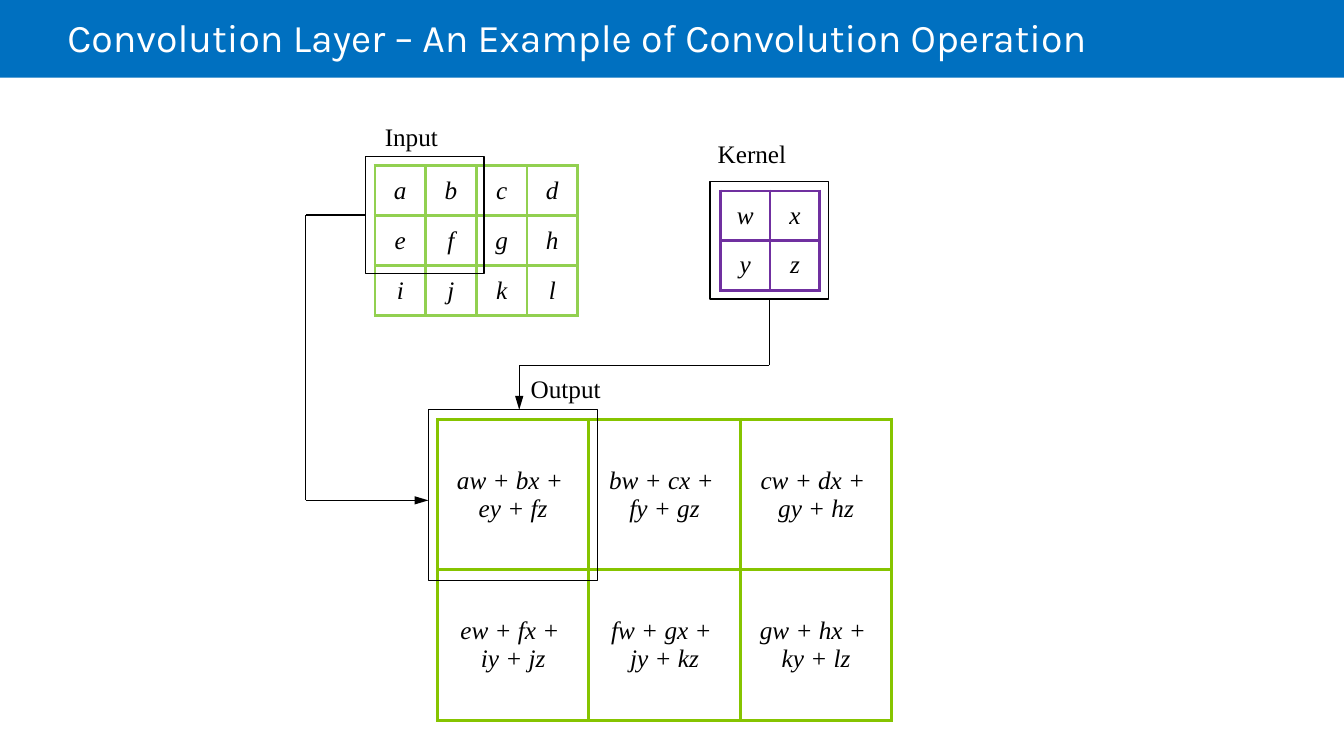
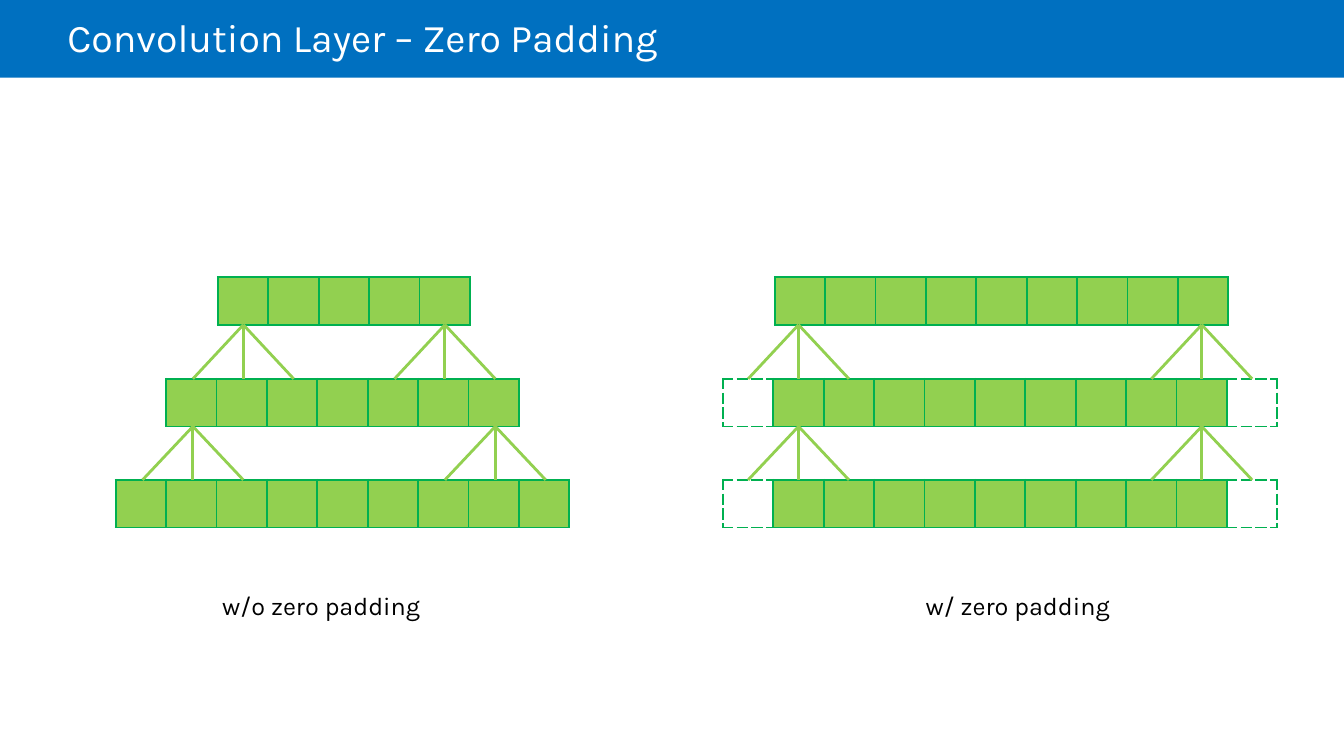
from dataclasses import dataclass
from pptx import Presentation
from pptx.dml.color import RGBColor
from pptx.enum.shapes import MSO_CONNECTOR, MSO_SHAPE
from pptx.enum.text import MSO_ANCHOR, MSO_AUTO_SIZE, PP_ALIGN
from pptx.oxml.ns import qn
from pptx.util import Pt
from lxml.etree import SubElement


@dataclass(frozen=True)
class Theme:
    band: str = "0070C0"
    white: str = "FFFFFF"
    black: str = "000000"
    light_green: str = "92D050"
    lime: str = "86C400"
    purple: str = "7030A0"
    green: str = "00B050"
    sans: str = "Karla"
    serif: str = "Times New Roman"
    title_size: int = 28
    text_size: int = 18


theme = Theme()


def write(text_frame, text, font=theme.serif, size=theme.text_size, color=theme.black,
          italic=False, align=PP_ALIGN.LEFT, line_spacing=None):
    for index, line in enumerate(text.split("\n")):
        paragraph = text_frame.add_paragraph() if index else text_frame.paragraphs[0]
        paragraph.alignment = align
        paragraph.line_spacing = line_spacing
        run = paragraph.add_run()
        run.text = line
        run.font.name = font
        run.font.size = Pt(size)
        run.font.italic = italic
        run.font.color.rgb = RGBColor.from_string(color)


def add_line(slide, start, end, color, width, arrow=False):
    connector = slide.shapes.add_connector(
        MSO_CONNECTOR.STRAIGHT, *[Pt(value) for value in (*start, *end)])
    connector.line.color.rgb = RGBColor.from_string(color)
    connector.line.width = Pt(width)
    if arrow:
        SubElement(connector.line._get_or_add_ln(), qn("a:tailEnd"),
                   type="triangle", w="med", len="lg")
    SubElement(connector.element.spPr, qn("a:effectLst"))
    return connector


presentation = Presentation()
presentation.slide_width, presentation.slide_height = Pt(960), Pt(540)

# Shared title style on the title-only layout
layout = presentation.slide_layouts[5]
title = layout.placeholders[0]
title.left, title.top, title.width, title.height = Pt(48.2), Pt(0), Pt(816.5), Pt(58.3)
title.text_frame.vertical_anchor = MSO_ANCHOR.MIDDLE
title.text_frame.auto_size = MSO_AUTO_SIZE.NONE
title.text_frame.margin_left = Pt(0)

# Slides with their titles
slides = []
for heading in ("Convolution Layer – An Example of Convolution Operation",
                "Convolution Layer – Zero Padding"):
    slide = presentation.slides.add_slide(layout)
    write(slide.shapes.title.text_frame, heading, font=theme.sans, size=theme.title_size,
          color=theme.white, line_spacing=0.85)
    slides.append(slide)
example, padding = slides

# Title band, moved to the back of the layout
band = example.shapes.add_shape(MSO_SHAPE.RECTANGLE, 0, 0, Pt(960), Pt(55.5))
band.shadow.inherit = False
band.fill.solid()
band.fill.fore_color.rgb = RGBColor.from_string(theme.band)
band.line.fill.background()
band.element.xpath("p:nvSpPr/p:cNvPr")[0].set("id", "20")
layout.shapes.element.insert(2, band.element)

# Matrices: slide, rows, column kinds, left, top, cell width, cell height, line, weight, fill
# Column kinds: "#" filled, "-" zero padding, "." blank
output_rows = [["aw + bx + \ney + fz", "bw + cx + \nfy + gz", "cw + dx + \ngy + hz"],
               ["ew + fx + \niy + jz", "fw + gx + \njy + kz", "gw + hx + \nky + lz"]]
grids = [
    (example, ["abcd", "efgh", "ijkl"], "####", 267.8, 118.2, 36.2, 35.8,
     theme.light_green, 2.25, theme.white),
    (example, ["wx", "yz"], "##", 514.6, 136.5, 35.5, 35.4, theme.purple, 2.25, theme.white),
    (example, output_rows, "###", 312.4, 299.5, 108.2, 107.5, theme.lime, 2.25, theme.white),
]

# Layers of cells, from top to bottom
cell_width, cell_height = 36, 34
layer_tops = [198, 270.6, 342.8]
panels = [(46.6, ["...#####...", "..#######..", ".#########."]),
          (516.4, [".#########.", "-#########-", "-#########-"])]
for panel_left, layers in panels:
    for top, kinds in zip(layer_tops, layers):
        nudge = 1 if top == layer_tops[0] else 0
        grids.append((padding, [[""] * len(kinds)], kinds, panel_left + nudge, top,
                      cell_width, cell_height, theme.green, 1.5, theme.light_green))

# Draw every grid as a table
for slide, rows, kinds, left, top, width, height, line, weight, fill in grids:
    table = slide.shapes.add_table(len(rows), len(kinds), Pt(left), Pt(top),
                                   Pt(width * len(kinds)), Pt(height * len(rows))).table
    table.first_row = table.horz_banding = False
    for column in table.columns:
        column.width = Pt(width)
    for row_index, row in enumerate(rows):
        table.rows[row_index].height = Pt(height)
        for column_index, (kind, text) in enumerate(zip(kinds, row)):
            cell = table.cell(row_index, column_index)
            cell.vertical_anchor = MSO_ANCHOR.MIDDLE
            neighbours = {"L": kinds[:column_index][-1:], "R": kinds[column_index + 1:][:1]}
            properties = cell._tc.get_or_add_tcPr()
            for side in "LRTB":
                border = SubElement(properties, qn(f"a:ln{side}"), w=str(Pt(weight)))
                is_solid = "#" in (kind, neighbours.get(side))
                if kind == "." and not is_solid:
                    SubElement(border, qn("a:noFill"))
                    continue
                color = SubElement(border, qn("a:solidFill"))
                SubElement(color, qn("a:srgbClr"), val=line)
                SubElement(border, qn("a:prstDash"), val="solid" if is_solid else "sysDash")
            cell.fill.solid()
            cell.fill.fore_color.rgb = RGBColor.from_string(fill if kind == "#" else theme.white)
            if text:
                write(cell.text_frame, text, italic=True, align=PP_ALIGN.CENTER)

# Frames around the input window, the kernel and the first output
frames = []
for left, top, width, height in ((261, 111.7, 84.8, 83.8), (507.2, 129.5, 84.6, 84),
                                 (306, 292.5, 121, 122)):
    frame = example.shapes.add_shape(MSO_SHAPE.RECTANGLE, Pt(left), Pt(top),
                                     Pt(width), Pt(height))
    frame.shadow.inherit = False
    frame.fill.background()
    frame.line.color.rgb = RGBColor.from_string(theme.black)
    frame.line.width = Pt(1)
    frames.append(frame)
input_frame, kernel_frame, output_frame = frames

# Bent arrows from the input window and the kernel to the output
routes = [
    (input_frame, 1, [(261, 153.6), (218.3, 153.6), (218.3, 357.4), (306, 357.4)]),
    (kernel_frame, 2, [(549.5, 213.5), (549.5, 261), (370.9, 261), (370.9, 292.7)]),
]
for frame, site, points in routes:
    for index, (start, end) in enumerate(zip(points, points[1:])):
        connector = add_line(example, start, end, theme.black, 1, arrow=end == points[-1])
        if index == 0:
            connector.begin_connect(frame, site)

# Fans joining each cell to the three cells below: left, end columns per gap
for fan_left, gaps in ((47.8, [(3, 7), (2, 8)]), (516.4, [(1, 9), (1, 9)])):
    for upper_top, lower_top, columns in zip(layer_tops, layer_tops[1:], gaps):
        for column in columns:
            center = fan_left + (column + 0.5) * cell_width
            for step in (-1, 0, 1):
                add_line(padding, (center, upper_top + cell_height),
                         (center + step * cell_width, lower_top), theme.light_green, 2)

# Labels
for slide, text, left, top, width, font, align in (
        (example, "Input", 267.8, 82.8, 64, theme.serif, PP_ALIGN.LEFT),
        (example, "Kernel", 505.6, 95.2, 80, theme.serif, PP_ALIGN.LEFT),
        (example, "Output", 372, 263.1, 80, theme.serif, PP_ALIGN.LEFT),
        (padding, "w/o zero padding", 120, 418.4, 219, theme.sans, PP_ALIGN.CENTER),
        (padding, "w/ zero padding", 617.5, 418.4, 219, theme.sans, PP_ALIGN.CENTER)):
    label = slide.shapes.add_textbox(Pt(left), Pt(top), Pt(width), Pt(29))
    label.text_frame.word_wrap = True
    write(label.text_frame, text, font=font, align=align)

presentation.save("out.pptx")
